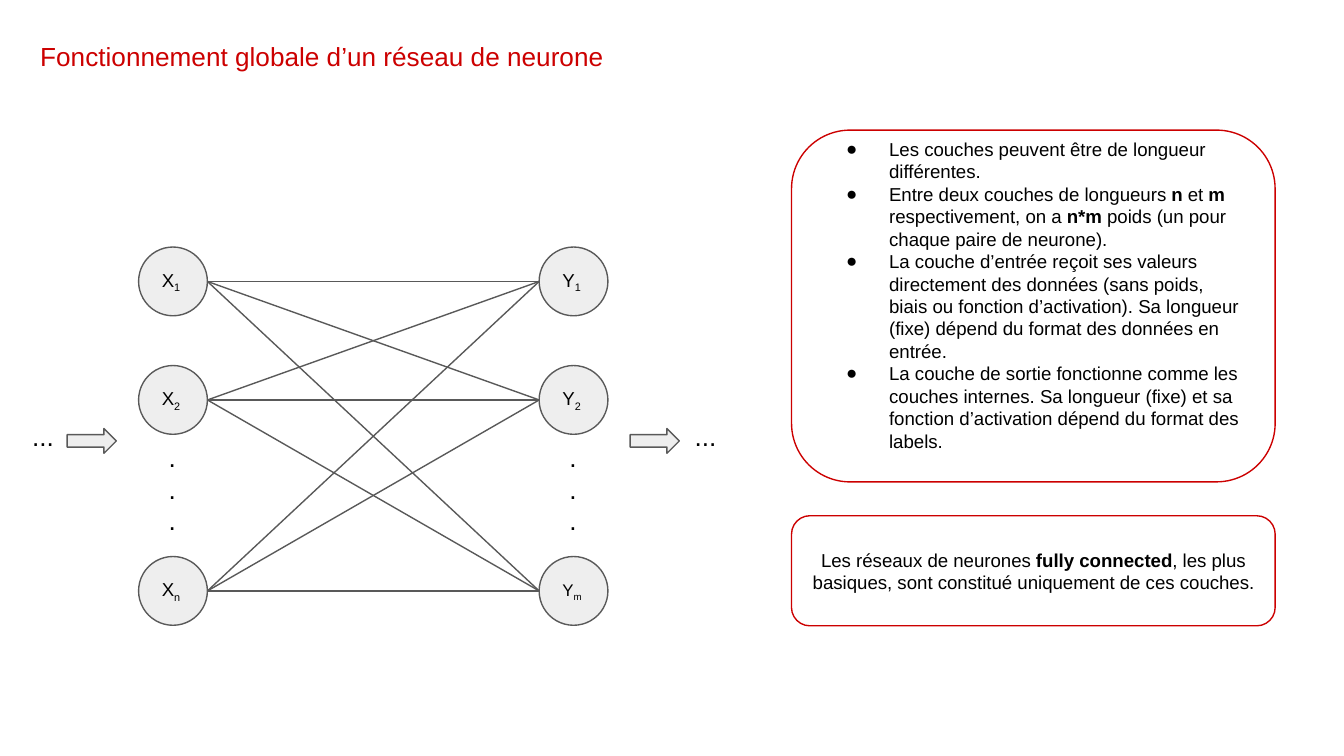
from lxml import etree
from pptx import Presentation
from pptx.dml.color import RGBColor
from pptx.enum.shapes import MSO_CONNECTOR, MSO_SHAPE
from pptx.enum.text import MSO_ANCHOR, MSO_AUTO_SIZE, PP_ALIGN
from pptx.oxml.ns import qn
from pptx.util import Cm, Pt

OVAL, ARROW, ROUNDED = MSO_SHAPE.OVAL, MSO_SHAPE.RIGHT_ARROW, MSO_SHAPE.ROUNDED_RECTANGLE
STRAIGHT = MSO_CONNECTOR.STRAIGHT
LEFT, CENTER = PP_ALIGN.LEFT, PP_ALIGN.CENTER
TOP, MIDDLE = MSO_ANCHOR.TOP, MSO_ANCHOR.MIDDLE

RED = RGBColor(0xCC, 0x00, 0x00)
BLACK = RGBColor(0x00, 0x00, 0x00)
WHITE = RGBColor(0xFF, 0xFF, 0xFF)
GRAY = RGBColor(0x59, 0x59, 0x59)
LIGHT = RGBColor(0xEE, 0xEE, 0xEE)
FONT = "Arial"

TITLE = "Fonctionnement globale d’un réseau de neurone"

# Each paragraph is a list of runs: normal and bold alternate.
RULES = [
    ["Les couches peuvent être de longueur différentes."],
    ["Entre deux couches de longueurs ", "n ", "et ", "m ", "respectivement, on a ",
     "n*m", " poids (un pour chaque paire de neurone)."],
    ["La couche d’entrée reçoit ses valeurs directement des données (sans poids, biais ou "
     "fonction d’activation). Sa longueur (fixe) dépend du format des données en entrée."],
    ["La couche de sortie fonctionne comme les couches internes. Sa longueur (fixe) et sa "
     "fonction d’activation dépend du format des labels."],
]
SUMMARY = [["Les réseaux de neurones ", "fully connected",
            ", les plus basiques, sont constitué uniquement de ces couches."]]

# Layers: left edge in cm, then (letter, index, text size) of each neuron
LAYERS = [
    (2.62, [("X", "1", 10), ("X", "2", 10), ("X", "n", 10)]),
    (10.19, [("Y", "1", 10), ("Y", "2", 10), ("Y", "m", 9)]),
]
NEURON_TOPS = [4.67, 6.91, 10.52]
DIAMETER = 1.3
DOTS_WIDTH = 0.66
ELLIPSIS_LEFTS = [0.36, 12.88]
ARROW_LEFTS = [1.27, 11.91]
FLOW_TOP = 8.1
PANEL_LEFT, PANEL_WIDTH = 14.96, 9.14


def set_frame(tf, anchor=TOP, bottom=0.25):
    tf.word_wrap = True
    tf.auto_size = MSO_AUTO_SIZE.NONE
    tf.vertical_anchor = anchor
    tf.margin_left = tf.margin_right = tf.margin_top = Cm(0.25)
    tf.margin_bottom = Cm(bottom)


def set_font(font, size, color=BLACK):
    font.name = FONT
    font.size = Pt(size)
    font.color.rgb = color


def add_box(shapes, kind, left, top, width, height, fill, line):
    sp = shapes.add_shape(kind, Cm(left), Cm(top), Cm(width), Cm(height))
    sp.shadow.inherit = False
    sp.fill.solid()
    sp.fill.fore_color.rgb = fill
    sp.line.color.rgb = line
    sp.line.width = Pt(0.75)
    return sp


def add_label(shapes, lines, left, top, width, height):
    tf = shapes.add_textbox(Cm(left), Cm(top), Cm(width), Cm(height)).text_frame
    set_frame(tf)
    tf.text = "\n".join(lines)
    for p in tf.paragraphs:
        set_font(p.runs[0].font, 14)


def add_neuron(shapes, letter, index, size, left, top):
    sp = add_box(shapes, OVAL, left, top, DIAMETER, DIAMETER, LIGHT, GRAY)
    set_frame(sp.text_frame, MIDDLE)
    p = sp.text_frame.paragraphs[0]
    p.alignment = LEFT
    for text in (letter, index):
        r = p.add_run()
        r.text = text
        set_font(r.font, size)
    r._r.get_or_add_rPr().set("baseline", "-25000")


def add_link(shapes, x1, y1, x2, y2):
    line = shapes.add_connector(STRAIGHT, Cm(x1), Cm(y1), Cm(x2), Cm(y2))
    line.line.color.rgb = GRAY
    line.line.width = Pt(0.75)
    etree.SubElement(line._element.spPr, qn("a:effectLst"))


def add_bullet(p):
    pPr = p._p.get_or_add_pPr()
    pPr.set("marL", str(Cm(1.27)))
    pPr.set("indent", str(-Cm(0.81)))
    color = etree.SubElement(pPr, qn("a:buClr"))
    etree.SubElement(color, qn("a:srgbClr")).set("val", str(BLACK))
    etree.SubElement(pPr, qn("a:buFont")).set("typeface", FONT)
    etree.SubElement(pPr, qn("a:buChar")).set("char", "●")


def add_panel(shapes, paragraphs, top, height, bulleted=False, bottom=0.25):
    sp = add_box(shapes, ROUNDED, PANEL_LEFT, top, PANEL_WIDTH, height, WHITE, RED)
    tf = sp.text_frame
    set_frame(tf, MIDDLE, bottom)
    for i, texts in enumerate(paragraphs):
        p = tf.add_paragraph() if i else tf.paragraphs[0]
        p.alignment = LEFT if bulleted else CENTER
        if bulleted:
            add_bullet(p)
        for j, text in enumerate(texts):
            r = p.add_run()
            r.text = text
            set_font(r.font, 10)
            r.font.bold = j % 2 == 1


def main():
    prs = Presentation()
    prs.slide_width, prs.slide_height = Cm(25.4), Cm(14.29)
    slide = prs.slides.add_slide(prs.slide_layouts[5])
    shapes = slide.shapes

    title = shapes.title
    title.left, title.top, title.width, title.height = Cm(0.51), Cm(0.51), Cm(15.11), Cm(0.91)
    set_frame(title.text_frame)
    title.text_frame.text = TITLE
    p = title.text_frame.paragraphs[0]
    p.alignment = LEFT
    set_font(p.runs[0].font, 14, RED)

    for left, neurons in LAYERS:
        for (letter, index, size), top in zip(neurons, NEURON_TOPS):
            add_neuron(shapes, letter, index, size, left, top)
        dots_left = left + (DIAMETER - DOTS_WIDTH) / 2
        add_label(shapes, ["."] * 3, dots_left, FLOW_TOP, DOTS_WIDTH, 2.36)

    start, end = LAYERS[0][0] + DIAMETER, LAYERS[1][0]
    centers = [top + DIAMETER / 2 for top in NEURON_TOPS]
    for y1 in centers:
        for y2 in centers:
            add_link(shapes, start, y1, end, y2)

    for left in ELLIPSIS_LEFTS:
        add_label(shapes, ["..."], left, 7.7, 1.65, 1.14)
    for left in ARROW_LEFTS:
        add_box(shapes, ARROW, left, FLOW_TOP, 0.93, 0.47, LIGHT, GRAY)

    add_panel(shapes, RULES, 2.46, 6.65, bulleted=True, bottom=0.67)
    add_panel(shapes, SUMMARY, 9.75, 2.08)

    prs.save("out.pptx")


if __name__ == "__main__":
    main()
